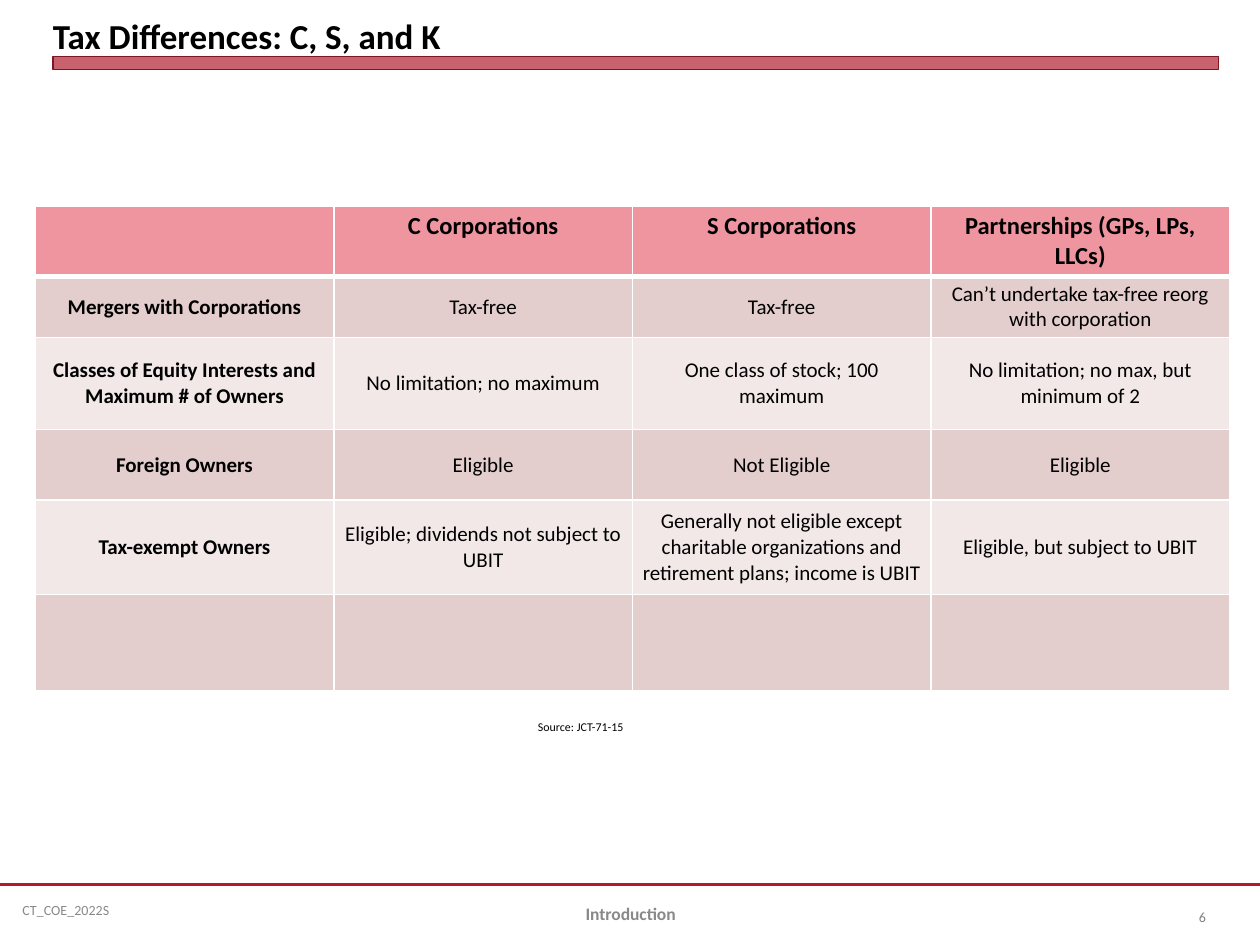
from lxml.etree import SubElement
from pptx import Presentation
from pptx.dml.color import RGBColor
from pptx.enum.shapes import MSO_CONNECTOR, MSO_SHAPE
from pptx.enum.text import MSO_ANCHOR, PP_ALIGN
from pptx.oxml.ns import qn
from pptx.util import Inches, Pt

TITLE = "Tax Differences: C, S, and K"
SOURCE = "Source: JCT-71-15"
COURSE, SECTION, PAGE = "CT_COE_2022S", "Introduction", "6"
ROWS = [  # height, cell texts
    (0.55, ["", "C Corporations", "S Corporations", "Partnerships (GPs, LPs, LLCs)"]),
    (0.47, ["Mergers with Corporations", "Tax-free", "Tax-free",
            "Can’t undertake tax-free reorg with corporation"]),
    (0.73, ["Classes of Equity Interests and Maximum # of Owners",
            "No limitation; no maximum", "One class of stock; 100 maximum",
            "No limitation; no max, but minimum of 2"]),
    (0.56, ["Foreign Owners", "Eligible", "Not Eligible", "Eligible"]),
    (0.75, ["Tax-exempt Owners", "Eligible; dividends not subject to UBIT",
            "Generally not eligible except charitable organizations and "
            "retirement plans; income is UBIT", "Eligible, but subject to UBIT"]),
    (0.76, ["", "", "", ""]),
]
THEME = {
    "font": "Calibri",
    "text": "000000", "footer": "898989", "page": "808080",
    "accent": "B01C2E", "bar_line": "821522", "border": "FFFFFF",
    "header": "EE95A0", "bands": ["E4CDCD", "F2E8E8"],
    "title_pt": 20, "header_pt": 14, "body_pt": 12,
    "section_pt": 10, "small_pt": 8, "source_pt": 6.8,
}
TABLE_LEFT, TABLE_TOP, COL_WIDTH = 0.28, 1.64, 2.37


def rgb(name):
    return RGBColor.from_string(name)


def write(tf, text, size, color=THEME["text"], bold=False, align=PP_ALIGN.LEFT):
    p = tf.paragraphs[0]
    p.alignment = align
    r = p.add_run()
    r.text = text
    r.font.name, r.font.size, r.font.bold = THEME["font"], Pt(size), bold
    r.font.color.rgb = rgb(color)


def add_text(s, box, text, size, anchor=MSO_ANCHOR.MIDDLE, inset=None, **fmt):
    tf = s.shapes.add_textbox(*map(Inches, box)).text_frame
    tf.word_wrap = True
    tf.vertical_anchor = anchor
    if inset is not None:
        tf.margin_left = tf.margin_right = tf.margin_top = tf.margin_bottom = Inches(inset)
    write(tf, text, size, **fmt)


def set_borders(cell, top, bottom):
    tc_pr = cell._tc.get_or_add_tcPr()
    for side, width in (("L", 1), ("R", 1), ("T", top), ("B", bottom)):
        ln = SubElement(tc_pr, qn(f"a:ln{side}"), w=str(Pt(width)))
        fill = SubElement(ln, qn("a:solidFill"))
        SubElement(fill, qn("a:srgbClr"), val=THEME["border"])


def add_comparison(s):
    cols = len(ROWS[0][1])
    height = sum(h for h, _ in ROWS)
    table = s.shapes.add_table(
        len(ROWS), cols, Inches(TABLE_LEFT), Inches(TABLE_TOP),
        Inches(COL_WIDTH * cols), Inches(height)).table
    for col in table.columns:
        col.width = Inches(COL_WIDTH)
    for i, (row_height, texts) in enumerate(ROWS):
        header = i == 0
        table.rows[i].height = Inches(row_height)
        for j, text in enumerate(texts):
            cell = table.cell(i, j)
            set_borders(cell, top=3 if i == 1 else 1, bottom=3 if header else 1)
            cell.fill.solid()
            cell.fill.fore_color.rgb = rgb(THEME["header"] if header
                                           else THEME["bands"][(i - 1) % 2])
            cell.margin_left = cell.margin_right = Inches(0.08)
            cell.margin_top = cell.margin_bottom = Inches(0.04)
            cell.vertical_anchor = MSO_ANCHOR.TOP if header else MSO_ANCHOR.MIDDLE
            if text:
                write(cell.text_frame, text,
                      THEME["header_pt"] if header else THEME["body_pt"],
                      bold=header or j == 0, align=PP_ALIGN.CENTER)


def add_rules(s):
    line = s.shapes.add_connector(MSO_CONNECTOR.STRAIGHT, 0, Inches(7.02),
                                  Inches(10), Inches(7.02))
    line.line.color.rgb = rgb(THEME["accent"])
    line.line.width = Pt(1.25)
    SubElement(line._element.spPr, qn("a:effectLst"))

    bar = s.shapes.add_shape(MSO_SHAPE.RECTANGLE, Inches(0.42), Inches(0.45),
                             Inches(9.25), Inches(0.1))
    bar.shadow.inherit = False
    bar.fill.solid()
    bar.fill.fore_color.rgb = rgb(THEME["accent"])
    color = bar._element.spPr.find(qn("a:solidFill"))[0]
    SubElement(color, qn("a:alpha"), val="69000")
    bar.line.color.rgb = rgb(THEME["bar_line"])
    bar.line.width = Pt(0)


def main():
    prs = Presentation()
    prs.slide_width, prs.slide_height = Inches(10), Inches(7.5)
    s = prs.slides.add_slide(prs.slide_layouts[6])
    add_rules(s)
    add_comparison(s)
    add_text(s, (0.42, 0.05, 9.25, 0.4), TITLE, THEME["title_pt"],
             anchor=MSO_ANCHOR.BOTTOM, inset=0, bold=True)
    add_text(s, (4.17, 5.66, 1.38, 0.21), SOURCE, THEME["source_pt"],
             anchor=MSO_ANCHOR.TOP)
    add_text(s, (0.08, 7.02, 2.58, 0.4), COURSE, THEME["small_pt"], color=THEME["footer"])
    add_text(s, (3.42, 7.05, 3.17, 0.4), SECTION, THEME["section_pt"],
             color=THEME["footer"], bold=True, align=PP_ALIGN.CENTER)
    add_text(s, (9.17, 7.08, 0.5, 0.4), PAGE, THEME["small_pt"],
             color=THEME["page"], align=PP_ALIGN.RIGHT)
    prs.save("out.pptx")


if __name__ == "__main__":
    main()
